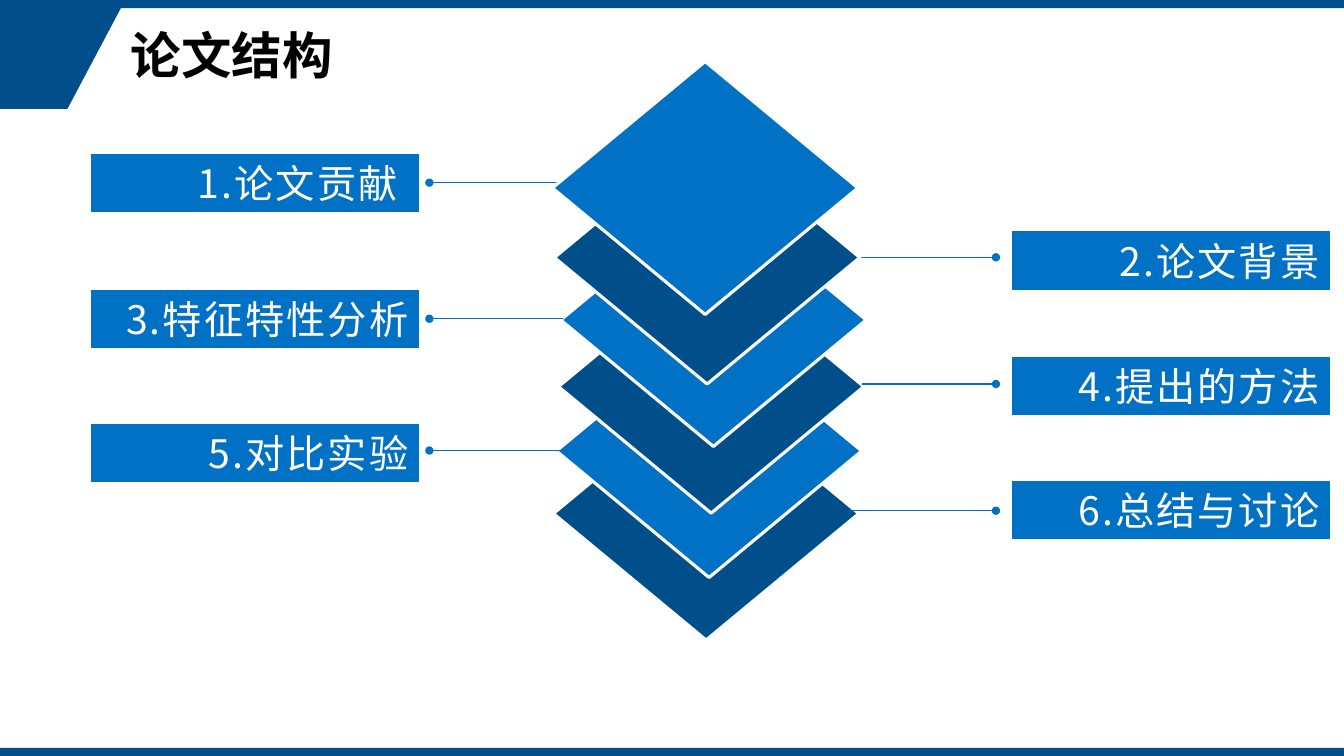
from dataclasses import dataclass

from pptx import Presentation
from pptx.dml.color import RGBColor
from pptx.enum.shapes import MSO_CONNECTOR, MSO_SHAPE
from pptx.enum.text import MSO_ANCHOR, PP_ALIGN
from pptx.oxml.ns import qn
from pptx.util import Pt
from lxml import etree

RECT = MSO_SHAPE.RECTANGLE
DIAMOND = MSO_SHAPE.FLOWCHART_DECISION
STRAIGHT = MSO_CONNECTOR.STRAIGHT
MIDDLE = MSO_ANCHOR.MIDDLE
RIGHT = PP_ALIGN.RIGHT


@dataclass(frozen=True)
class Theme:
    navy: RGBColor = RGBColor(0x00, 0x4F, 0x8A)
    blue: RGBColor = RGBColor(0x01, 0x71, 0xC5)
    white: RGBColor = RGBColor(0xFF, 0xFF, 0xFF)
    black: RGBColor = RGBColor(0x00, 0x00, 0x00)
    font: str = "Noto Sans CJK SC"
    title: int = 36
    label: int = 28


THEME = Theme()
WIDE, HIGH = 960, 540
BAND = 5.76
TILE = (218.2, 180.7)
# Topics from top to bottom: text, tile left, tile top, label top, line start, line height
TOPICS = [
    ("1.论文贡献 ", 394.6, 43.9, 110.2, 402.5, 130.5),
    ("2.论文背景", 396, 93.6, 165.6, 600.5, 183.8),
    ("3.特征特性分析", 400.5, 138.2, 207.2, 402.5, 227.7),
    ("4.提出的方法", 398.9, 185.8, 255.4, 615.6, 274.3),
    ("5.对比实验", 397.4, 231.8, 303, 402.5, 321.8),
    ("6.总结与讨论", 395.3, 276.5, 344, 606.2, 364.8),
]
# Left and right columns: label left, label width, line end
SIDES = [(65.5, 233.3, 306.7), (723.5, 226, 711.4)]


def paint(shape, fill, edge=None, weight=0):
    shape.shadow.inherit = False
    shape.fill.solid()
    shape.fill.fore_color.rgb = fill
    if edge is None:
        shape.line.fill.background()
    else:
        shape.line.color.rgb = edge
        shape.line.width = Pt(weight)


def block(slide, kind, box, fill, edge=None, weight=0):
    shape = slide.shapes.add_shape(kind, *map(Pt, box))
    paint(shape, fill, edge, weight)
    return shape


def write(shape, text, size, color, bold=False):
    """Set one line of text, centred vertically, and return its paragraph."""
    frame = shape.text_frame
    frame.word_wrap = True
    frame.vertical_anchor = MIDDLE
    frame.text = text
    para = frame.paragraphs[0]
    run = para.runs[0]
    font = run.font
    font.name, font.size, font.bold = THEME.font, Pt(size), bold
    font.color.rgb = color
    face = etree.SubElement(font._element, qn("a:ea"))
    face.set("typeface", THEME.font)
    return para


def frame(slide, box):
    """Draw the top and bottom bands and the slanted corner."""
    left, top, width, height = box
    block(slide, RECT, (left, top + height - BAND, width, BAND), THEME.navy)
    start = top + BAND
    form = slide.shapes.build_freeform(Pt(left), Pt(start))
    points = [(86.4, 0), (48.2, 72), (0, 72)]
    form.add_line_segments([(Pt(left + x), Pt(start + y)) for x, y in points])
    paint(form.convert_to_shape(), THEME.navy)
    block(slide, RECT, (left, top, width, BAND), THEME.navy)


def title(slide, box, text):
    shape = slide.shapes.add_textbox(*map(Pt, box))
    para = write(shape, text, THEME.title, THEME.black, True)
    para.line_spacing = 0.9


def tile(slide, index):
    x, y = TOPICS[index][1:3]
    fill = THEME.navy if index % 2 else THEME.blue
    block(slide, DIAMOND, (x, y, *TILE), fill, THEME.white, 2.25)


def label(slide, box, text):
    shape = block(slide, RECT, box, THEME.blue, THEME.blue, 0.75)
    para = write(shape, text, THEME.label, THEME.white)
    para.alignment = RIGHT
    para.runs[0].font._element.set("spc", "150")


def link(slide, start, end, y):
    """Draw a level line that ends in a dot."""
    line = slide.shapes.add_connector(STRAIGHT, Pt(start), Pt(y), Pt(end), Pt(y))
    line.line.color.rgb = THEME.blue
    line.line.width = Pt(1)
    tail = etree.SubElement(line.line._get_or_add_ln(), qn("a:tailEnd"))
    tail.set("type", "oval")
    etree.SubElement(line._element.spPr, qn("a:effectLst"))


def stack(slide):
    """Draw the tiles from the bottom up, with lines under the top two."""
    for index in (5, 4, 3, 2):
        tile(slide, index)
    for index, (text, _, _, top, start, y) in enumerate(TOPICS):
        left, width, end = SIDES[index % 2]
        link(slide, start, end, y)
        label(slide, (left, top, width, 41), text)
    for index in (1, 0):
        tile(slide, index)


def main():
    deck = Presentation()
    deck.slide_width, deck.slide_height = Pt(WIDE), Pt(HIGH)
    slide = deck.slides.add_slide(deck.slide_layouts[6])
    frame(slide, (0, 0, WIDE, HIGH))
    title(slide, (86.4, BAND, 808, 72), "论文结构")
    stack(slide)
    deck.save("out.pptx")


if __name__ == "__main__":
    main()
